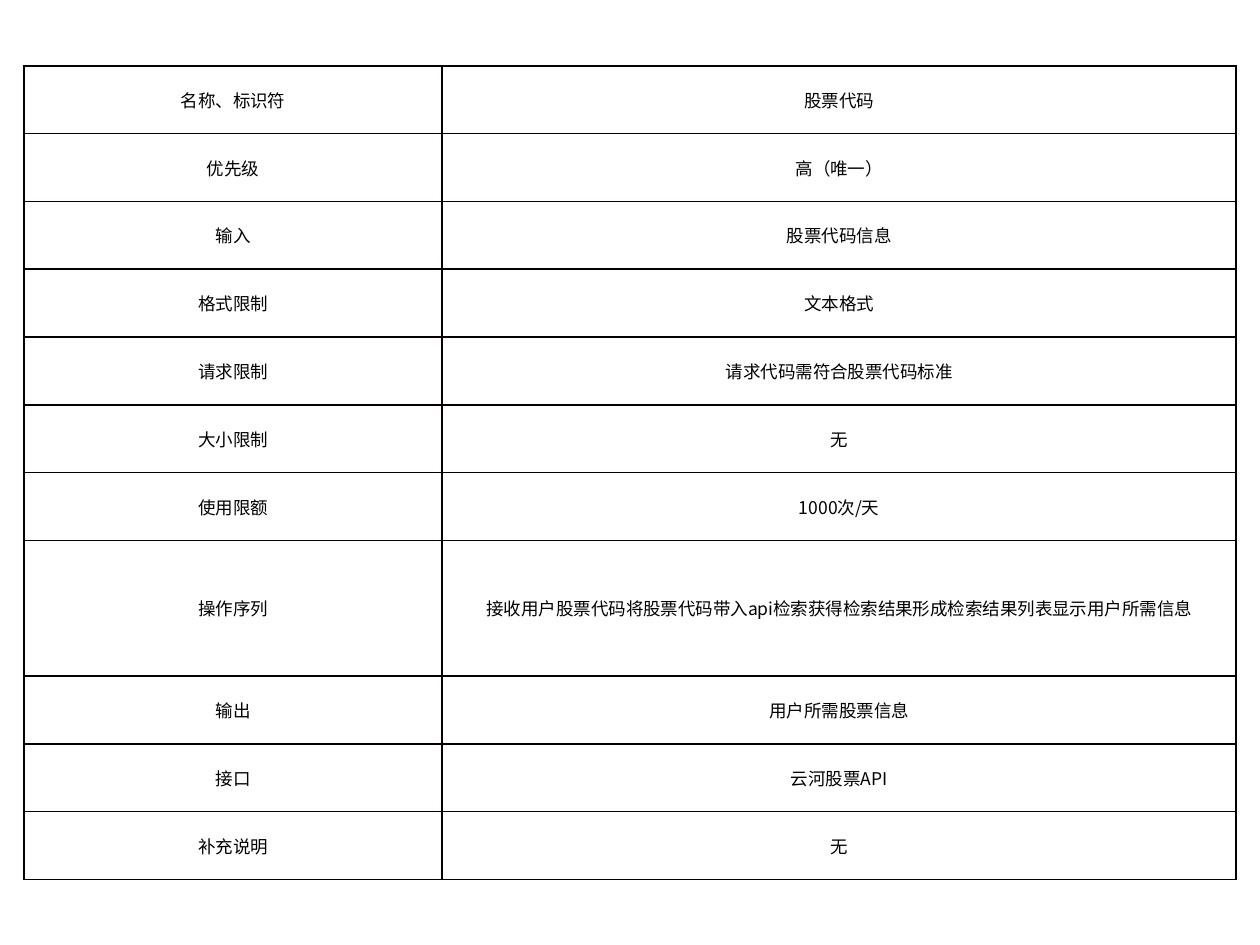
from dataclasses import dataclass

from lxml import etree
from pptx import Presentation
from pptx.dml.color import RGBColor
from pptx.enum.text import MSO_ANCHOR, PP_ALIGN
from pptx.oxml.ns import qn
from pptx.util import Pt

CENTER = PP_ALIGN.CENTER
MIDDLE = MSO_ANCHOR.MIDDLE

COLORS = {"text": "000000", "border": "080000", "outer_border": "000000"}
FONT_NAME = "Noto Sans CJK SC"
FONT_SIZE = Pt(10)

TABLE_LEFT, TABLE_TOP = 13.68, 37.6
COLUMN_WIDTHS = (239.04, 453.6)
ROW_HEIGHT = 38.75


@dataclass(frozen=True)
class Requirement:
    label: str
    value: str
    height_units: int = 1


@dataclass(frozen=True)
class Border:
    side: str
    color: str = COLORS["border"]
    width: float = 1


REQUIREMENTS = (
    Requirement("名称、标识符", "股票代码"),
    Requirement("优先级", "高（唯一）"),
    Requirement("输入", "股票代码信息"),
    Requirement("格式限制", "文本格式"),
    Requirement("请求限制", "请求代码需符合股票代码标准"),
    Requirement("大小限制", "无"),
    Requirement("使用限额", "1000次/天"),
    Requirement(
        "操作序列",
        "接收用户股票代码将股票代码带入api检索获得检索结果形成检索结果列表显示用户所需信息",
        height_units=2,
    ),
    Requirement("输出", "用户所需股票信息"),
    Requirement("接口", "云河股票API"),
    Requirement("补充说明", "无"),
)

LABEL_BORDERS = tuple(Border(side) for side in "LRTB")
VALUE_BORDERS = (
    Border("L"),
    Border("R", COLORS["outer_border"], 0.75),
    Border("T"),
    Border("B"),
)


def add_border(cell, border: Border) -> None:
    properties = cell._tc.get_or_add_tcPr()
    line = etree.SubElement(
        properties, qn(f"a:ln{border.side}"), w=str(int(Pt(border.width)))
    )
    fill = etree.SubElement(line, qn("a:solidFill"))
    etree.SubElement(fill, qn("a:srgbClr"), val=border.color)


def format_run(run) -> None:
    """Set size, colour and the font for both Latin and East Asian text."""
    run.font.size = FONT_SIZE
    run.font.name = FONT_NAME
    run.font.color.rgb = RGBColor.from_string(COLORS["text"])
    east_asian = etree.Element(qn("a:ea"), typeface=FONT_NAME)
    run._r.get_or_add_rPr().find(qn("a:latin")).addnext(east_asian)


def fill_cell(cell, text: str, borders: tuple[Border, ...]) -> None:
    cell.margin_left = cell.margin_right = Pt(0)
    cell.margin_top = cell.margin_bottom = Pt(0)
    cell.vertical_anchor = MIDDLE
    for border in borders:
        add_border(cell, border)
    cell.fill.background()
    cell.text_frame.text = text
    paragraph = cell.text_frame.paragraphs[0]
    paragraph.alignment = CENTER
    format_run(paragraph.runs[0])


def add_requirements_table(slide, requirements: tuple[Requirement, ...]) -> None:
    total_height = ROW_HEIGHT * sum(item.height_units for item in requirements)
    table = slide.shapes.add_table(
        len(requirements), len(COLUMN_WIDTHS),
        Pt(TABLE_LEFT), Pt(TABLE_TOP), Pt(sum(COLUMN_WIDTHS)), Pt(total_height),
    ).table
    table.first_row = False
    table.horz_banding = False
    for column, width in zip(table.columns, COLUMN_WIDTHS):
        column.width = Pt(width)
    for row, item in zip(table.rows, requirements):
        row.height = Pt(ROW_HEIGHT * item.height_units)
        label_cell, value_cell = row.cells
        fill_cell(label_cell, item.label, LABEL_BORDERS)
        fill_cell(value_cell, item.value, VALUE_BORDERS)


def main() -> None:
    presentation = Presentation()
    presentation.slide_width, presentation.slide_height = Pt(720), Pt(540)
    slide = presentation.slides.add_slide(presentation.slide_layouts[6])
    add_requirements_table(slide, REQUIREMENTS)
    presentation.save("out.pptx")


if __name__ == "__main__":
    main()
